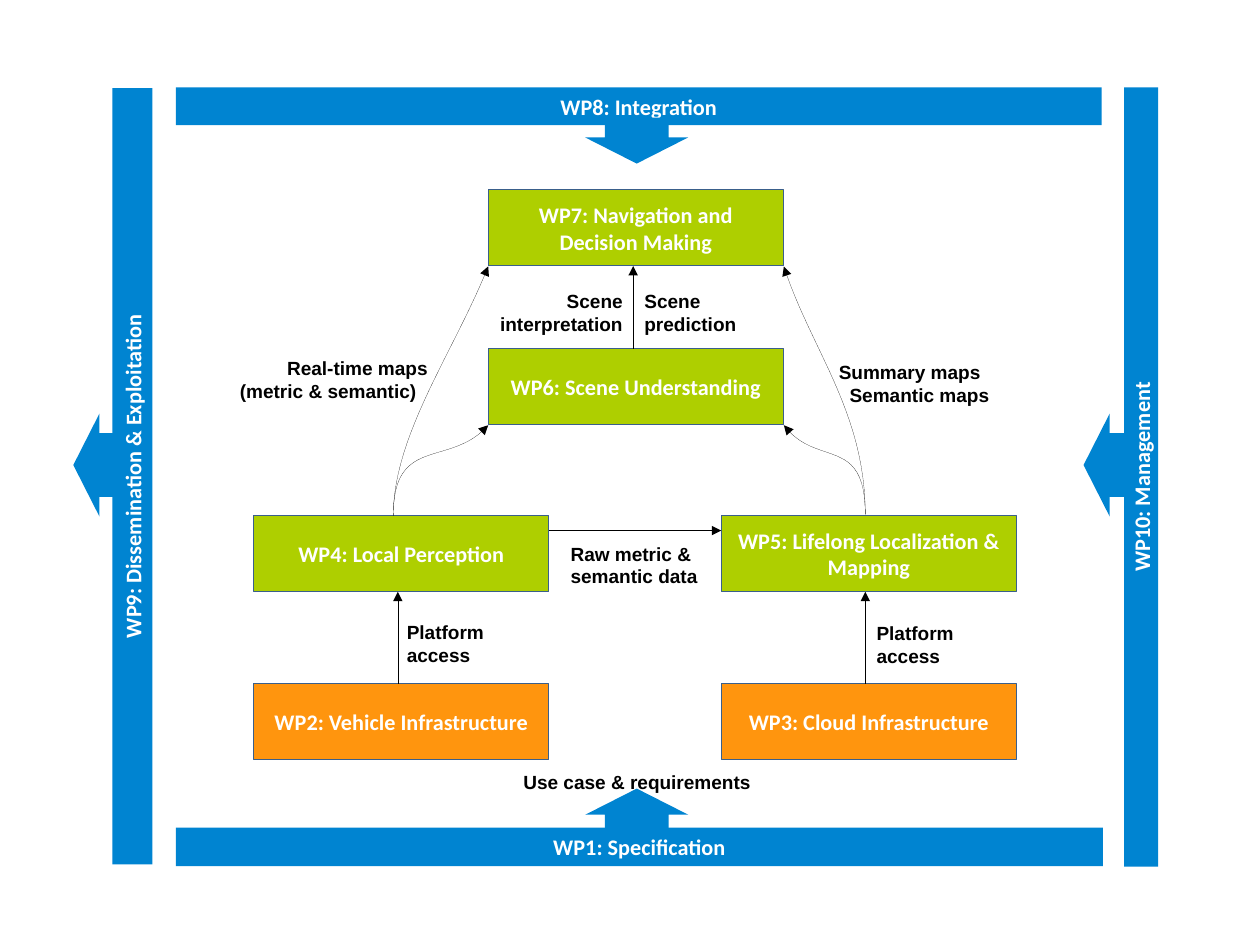
"""Build the work package overview slide."""
import pptx
import pptx.dml.color
import pptx.enum.shapes
import pptx.enum.text
import pptx.oxml.ns
import pptx.util
from lxml import etree

Cm = pptx.util.Cm
Pt = pptx.util.Pt
RGBColor = pptx.dml.color.RGBColor
MSO_SHAPE = pptx.enum.shapes.MSO_SHAPE
PP_ALIGN = pptx.enum.text.PP_ALIGN
qn = pptx.oxml.ns.qn

BLUE = RGBColor(0x00, 0x84, 0xD1)
GREEN = RGBColor(0xAE, 0xCF, 0x00)
ORANGE = RGBColor(0xFF, 0x95, 0x0E)
BORDER = RGBColor(0x3A, 0x5F, 0x8B)
WHITE = RGBColor(0xFF, 0xFF, 0xFF)
BLACK = RGBColor(0x00, 0x00, 0x00)

BOX_WIDTH, BOX_HEIGHT = 6.56, 1.69
LEFT, MIDDLE, RIGHT = 5.64, 10.85, 16.03
ROW_7, ROW_6, ROW_4, ROW_2 = 4.22, 7.75, 11.46, 15.19
CURVE_STEPS = 24
HAIRLINE = Pt(0.01)

presentation = pptx.Presentation()
presentation.slide_width = Cm(28)
presentation.slide_height = Cm(21)
slide = presentation.slides.add_slide(presentation.slide_layouts[6])


def add_block(kind, left, top, width, height, color, text="", rotation=0):
    shape = slide.shapes.add_shape(kind, Cm(left), Cm(top), Cm(width), Cm(height))
    shape.shadow.inherit = False
    shape.rotation = rotation
    shape.fill.solid()
    shape.fill.fore_color.rgb = color
    shape.line.fill.background()
    if text:
        paragraph = shape.text_frame.paragraphs[0]
        paragraph.alignment = PP_ALIGN.CENTER
        run = paragraph.add_run()
        run.text = text
        run.font.name = "Calibri"
        run.font.size = Pt(14)
        run.font.bold = True
        run.font.color.rgb = WHITE
    return shape


def style_arrow(shape):
    shape.line.color.rgb = BLACK
    shape.line.width = HAIRLINE
    properties = shape.element.spPr
    etree.SubElement(properties.find(qn("a:ln")), qn("a:tailEnd"), type="triangle")
    if properties.find(qn("a:effectLst")) is None:
        etree.SubElement(properties, qn("a:effectLst"))


bars = [
    ("WP1: Specification", 3.91, 18.39, 20.6, 0.86, 0),
    ("WP8: Integration", 3.91, 1.94, 20.57, 0.84, 0),
    ("WP9: Dissemination & Exploitation", -5.68, 10.14, 17.25, 0.89, 270),
    ("WP10: Management", 16.7, 10.22, 17.32, 0.76, 270),
]
for text, left, top, width, height, rotation in bars:
    add_block(MSO_SHAPE.RECTANGLE, left, top, width, height, BLUE, text, rotation)

block_arrows = [(1.63, 9.19, 0), (24.08, 9.19, 0), (13.64, 1.98, 270), (13.64, 16.89, 90)]
for left, top, rotation in block_arrows:
    arrow = add_block(MSO_SHAPE.LEFT_ARROW, left, top, 1.02, 2.29, BLUE, rotation=rotation)
    arrow.adjustments[0] = 0.62
    arrow.adjustments[1] = 0.57

work_packages = [
    ("WP2: Vehicle Infrastructure", LEFT, ROW_2, ORANGE),
    ("WP3: Cloud Infrastructure", RIGHT, ROW_2, ORANGE),
    ("WP4: Local Perception", LEFT, ROW_4, GREEN),
    ("WP5: Lifelong Localization & Mapping", RIGHT, ROW_4, GREEN),
    ("WP6: Scene Understanding", MIDDLE, ROW_6, GREEN),
    ("WP7: Navigation and Decision Making", MIDDLE, ROW_7, GREEN),
]
for text, left, top, color in work_packages:
    box = add_block(MSO_SHAPE.RECTANGLE, left, top, BOX_WIDTH, BOX_HEIGHT, color, text)
    box.line.color.rgb = BORDER
    box.line.width = Pt(0.71)

straight_arrows = [
    (8.84, ROW_2, 8.84, ROW_4 + BOX_HEIGHT),
    (19.23, ROW_2, 19.23, ROW_4 + BOX_HEIGHT),
    (14.07, ROW_6, 14.07, ROW_7 + BOX_HEIGHT),
    (LEFT + BOX_WIDTH, 11.79, RIGHT, 11.79),
]
for ends in straight_arrows:
    connector = slide.shapes.add_connector(
        pptx.enum.shapes.MSO_CONNECTOR.STRAIGHT, *[Cm(value) for value in ends])
    style_arrow(connector)

curved_arrows = [
    [(8.74, 11.46), (8.74, 9.65), (10.13, 7.75), (MIDDLE, 5.92)],
    [(8.74, 11.46), (8.74, 9.65), (10.01, 10.41), (MIDDLE, 9.45)],
    [(19.23, 11.43), (19.23, 9.14), (18.01, 7.75), (17.42, 5.92)],
    [(19.23, 11.43), (19.23, 9.65), (18.14, 10.41), (17.42, 9.45)],
]
for controls in curved_arrows:
    points = []
    for step in range(CURVE_STEPS + 1):
        t = step / CURVE_STEPS
        weights = ((1 - t) ** 3, 3 * t * (1 - t) ** 2, 3 * t ** 2 * (1 - t), t ** 3)
        points.append(tuple(
            Cm(sum(weight * control[axis] for weight, control in zip(weights, controls)))
            for axis in (0, 1)))
    builder = slide.shapes.build_freeform(*points[0])
    builder.add_line_segments(points[1:], close=False)
    curve = builder.convert_to_shape()
    curve.fill.background()
    style_arrow(curve)

labels = [
    (11.38, 16.99, 6, 0.74, PP_ALIGN.LEFT, [("Use case & requirements", 0)]),
    (8.79, 13.67, 2.8, 1.22, PP_ALIGN.LEFT, [("Platform", 0), ("access", 0)]),
    (19.23, 13.69, 2.8, 1.22, PP_ALIGN.LEFT, [("Platform", 0), ("access", 0)]),
    (18.39, 7.88, 4.3, 1.22, PP_ALIGN.LEFT, [("Summary maps", 0), ("Semantic maps", 0.24)]),
    (12.43, 11.92, 3.6, 1.22, PP_ALIGN.LEFT, [("Raw metric &", 0), ("semantic data", 0)]),
    (5.08, 7.8, 5, 1.22, PP_ALIGN.LEFT, [("Real-time maps", 1.05), ("(metric & semantic)", 0)]),
    (14.07, 6.31, 3, 1.22, PP_ALIGN.LEFT, [("Scene", 0), ("prediction", 0)]),
    (10.49, 6.31, 3.6, 1.22, PP_ALIGN.RIGHT, [("Scene", 0), ("interpretation", 0)]),
]
for left, top, width, height, alignment, lines in labels:
    text_box = slide.shapes.add_textbox(Cm(left), Cm(top), Cm(width), Cm(height))
    frame = text_box.text_frame
    frame.word_wrap = True
    for index, (text, indent) in enumerate(lines):
        paragraph = frame.add_paragraph() if index else frame.paragraphs[0]
        paragraph.alignment = alignment
        if indent:
            paragraph._p.get_or_add_pPr().set("marL", str(Cm(indent)))
        run = paragraph.add_run()
        run.text = text
        run.font.name = "Arial"
        run.font.size = Pt(12)
        run.font.bold = True
        run.font.color.rgb = BLACK

presentation.save("out.pptx")
